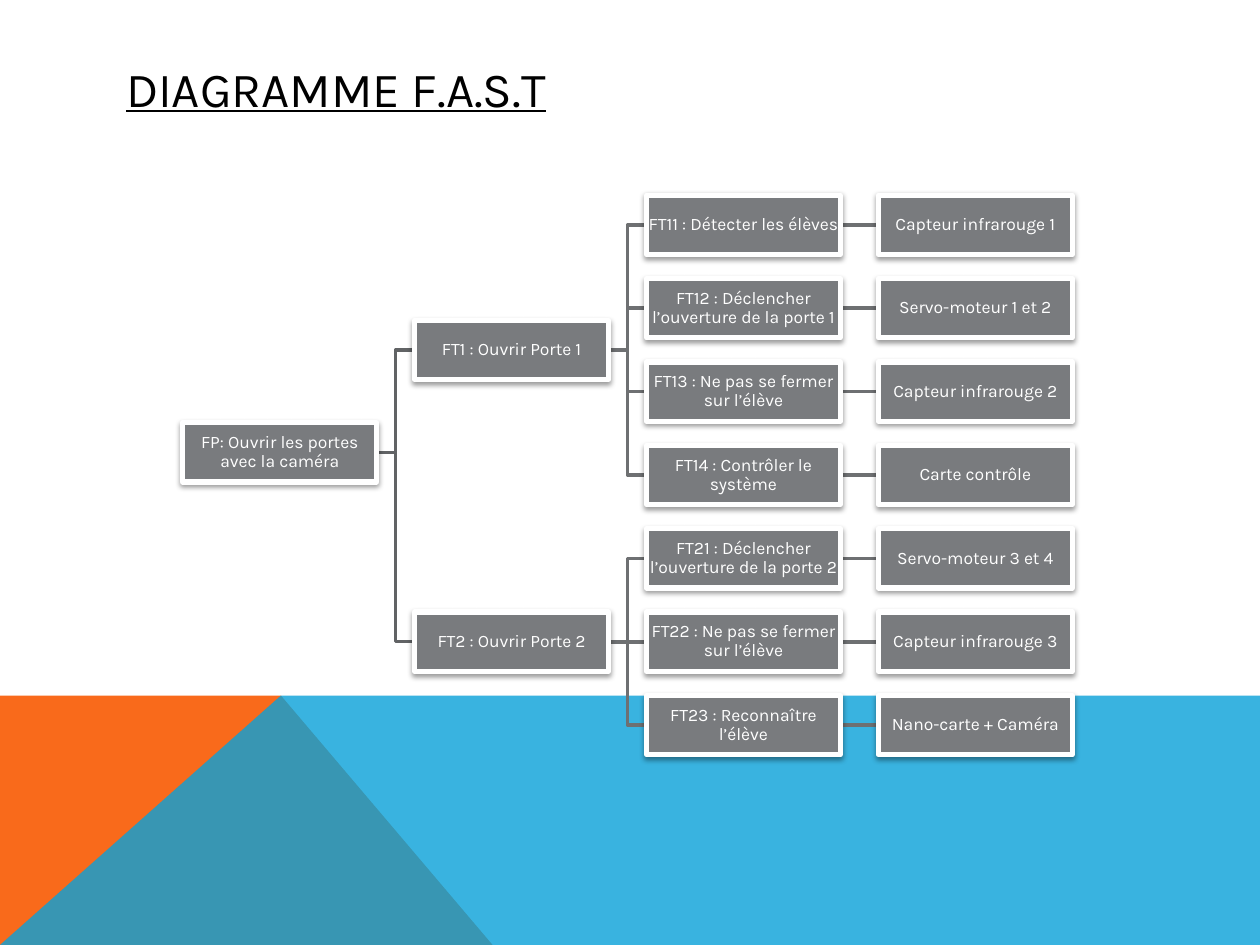
"""Build the F.A.S.T diagram slide."""
from lxml import etree
from pptx import Presentation
from pptx.dml.color import RGBColor
from pptx.enum.shapes import MSO_CONNECTOR, MSO_SHAPE
from pptx.enum.text import MSO_ANCHOR, PP_ALIGN
from pptx.oxml import parse_xml
from pptx.oxml.ns import nsdecls, qn
from pptx.util import Inches, Pt

FONT = "Karla"
COLORS = {
    "title": "000000", "orange": "F96A1B", "blue": "08A1D9", "box": "797B7E",
    "white": "FFFFFF", "root_link": "616365", "link": "6E7072",
}
ROOT = "FP: Ouvrir les portes avec la caméra"
BRANCHES = [
    ("FT1 : Ouvrir Porte 1", [
        ("FT11 : Détecter les élèves", "Capteur infrarouge 1"),
        ("FT12 : Déclencher l’ouverture de la porte 1", "Servo-moteur 1 et 2"),
        ("FT13 : Ne pas se fermer sur l’élève", "Capteur infrarouge 2"),
        ("FT14 : Contrôler le système", "Carte contrôle"),
    ]),
    ("FT2 : Ouvrir Porte 2", [
        ("FT21 : Déclencher l’ouverture de la porte 2", "Servo-moteur 3 et 4"),
        ("FT22 : Ne pas se fermer sur l’élève", "Capteur infrarouge 3"),
        ("FT23 : Reconnaître l’élève", "Nano-carte + Caméra"),
    ]),
]
BOX_W, BOX_H = 1.54, 0.47


def rgb(name):
    """Return the named colour."""
    return RGBColor.from_string(COLORS[name])


def style_run(paragraph, text, size, color):
    """Add a run in the slide font and return it."""
    run = paragraph.add_run()
    run.text = text
    run.font.name, run.font.size = FONT, Pt(size)
    run.font.color.rgb = rgb(color)
    return run


def add_polygon(slide, points, color, alpha=None):
    """Draw a filled outline through points given in inches."""
    corners = [(Inches(x), Inches(y)) for x, y in points]
    builder = slide.shapes.build_freeform(*corners[0], scale=1.0)
    builder.add_line_segments(corners[1:], close=True)
    shape = builder.convert_to_shape()
    shape.shadow.inherit = False
    shape.fill.solid()
    shape.fill.fore_color.rgb = rgb(color)
    shape.line.fill.background()
    if alpha is not None:
        fill = shape._element.spPr.find(qn("a:solidFill"))
        etree.SubElement(fill[0], qn("a:alpha")).set("val", str(alpha * 1000))


def add_band(slide, left, top, width, height):
    """Draw the coloured band at the foot of the slide."""
    right, bottom = left + width, top + height
    peak = (left + 2.23, top)
    add_polygon(slide, [(left, bottom), (left, top), peak, (left + 3.91, bottom)], "orange")
    add_polygon(slide, [(left, bottom), peak, (right, top), (right, bottom)], "blue", 80)


def add_title(slide, left, top, width, height):
    """Place and format the title placeholder."""
    title = slide.shapes.title
    title.left, title.top = Inches(left), Inches(top)
    title.width, title.height = Inches(width), Inches(height)
    frame = title.text_frame
    frame.vertical_anchor = MSO_ANCHOR.MIDDLE
    paragraph = frame.paragraphs[0]
    paragraph.alignment = PP_ALIGN.LEFT
    style_run(paragraph, "DIAGRAMME F.A.S.T", 28, "title").font.underline = True


def add_link(slide, start, end, color):
    """Join two points, with an elbow when their heights differ."""
    level = abs(start[1] - end[1]) < 0.01
    kind = MSO_CONNECTOR.STRAIGHT if level else MSO_CONNECTOR.ELBOW
    end_y = start[1] if level else end[1]
    link = slide.shapes.add_connector(
        kind, Inches(start[0]), Inches(start[1]), Inches(end[0]), Inches(end_y))
    link.line.color.rgb = rgb(color)
    link.line.width = Pt(2)
    etree.SubElement(link._element.spPr, qn("a:effectLst"))


def add_box(slide, left, middle, text):
    """Draw one shadowed box centred on a height."""
    box = slide.shapes.add_shape(
        MSO_SHAPE.RECTANGLE, Inches(left), Inches(middle - BOX_H / 2),
        Inches(BOX_W), Inches(BOX_H))
    box.fill.solid()
    box.fill.fore_color.rgb = rgb("box")
    box.line.color.rgb = rgb("white")
    box.line.width = Pt(3)
    box.shadow.inherit = False
    box._element.spPr.find(qn("a:effectLst")).append(parse_xml(
        f'<a:outerShdw {nsdecls("a")} blurRad="{Pt(3.1)}" dist="{Pt(1.6)}" '
        'dir="5400000" rotWithShape="0"><a:srgbClr val="000000">'
        '<a:alpha val="38000"/></a:srgbClr></a:outerShdw>'))
    frame = box.text_frame
    frame.word_wrap = True
    frame.vertical_anchor = MSO_ANCHOR.MIDDLE
    frame.margin_left = frame.margin_right = Inches(0.01)
    frame.margin_top = frame.margin_bottom = Inches(0.01)
    paragraph = frame.paragraphs[0]
    paragraph.alignment = PP_ALIGN.CENTER
    paragraph.line_spacing = 0.9
    style_run(paragraph, text, 10, "white")


def add_tree(slide, left, top, width, height):
    """Lay out the function tree, links behind boxes."""
    column_step = (width - BOX_W) / 3
    columns = [left + i * column_step for i in range(4)]
    row_count = sum(len(leaves) for _, leaves in BRANCHES)
    row_step = (height - BOX_H) / (row_count - 1)
    root_y = top + 2.04
    boxes = [(columns[0], root_y, ROOT)]
    links = []
    row = 0
    for branch, leaves in BRANCHES:
        heights = [top + BOX_H / 2 + (row + i) * row_step for i in range(len(leaves))]
        row += len(leaves)
        branch_y = (heights[0] + heights[-1]) / 2
        boxes.append((columns[1], branch_y, branch))
        links.append((0, root_y, branch_y, "root_link"))
        for y, (function, solution) in zip(heights, leaves):
            boxes += [(columns[2], y, function), (columns[3], y, solution)]
            links += [(1, branch_y, y, "link"), (2, y, y, "link")]
    for column, start_y, end_y, color in links:
        add_link(slide, (columns[column] + BOX_W, start_y),
                 (columns[column + 1], end_y), color)
    for box in boxes:
        add_box(slide, *box)


def main():
    """Build and save the slide."""
    deck = Presentation()
    deck.slide_width, deck.slide_height = Inches(10), Inches(7.5)
    slide = deck.slides.add_slide(deck.slide_layouts[5])
    add_band(slide, 0, 5.52, 10, 1.98)
    add_title(slide, 0.9, 0.4, 8.22, 0.6)
    add_tree(slide, 1.45, 1.55, 7.06, 4.44)
    deck.save("out.pptx")


main()
